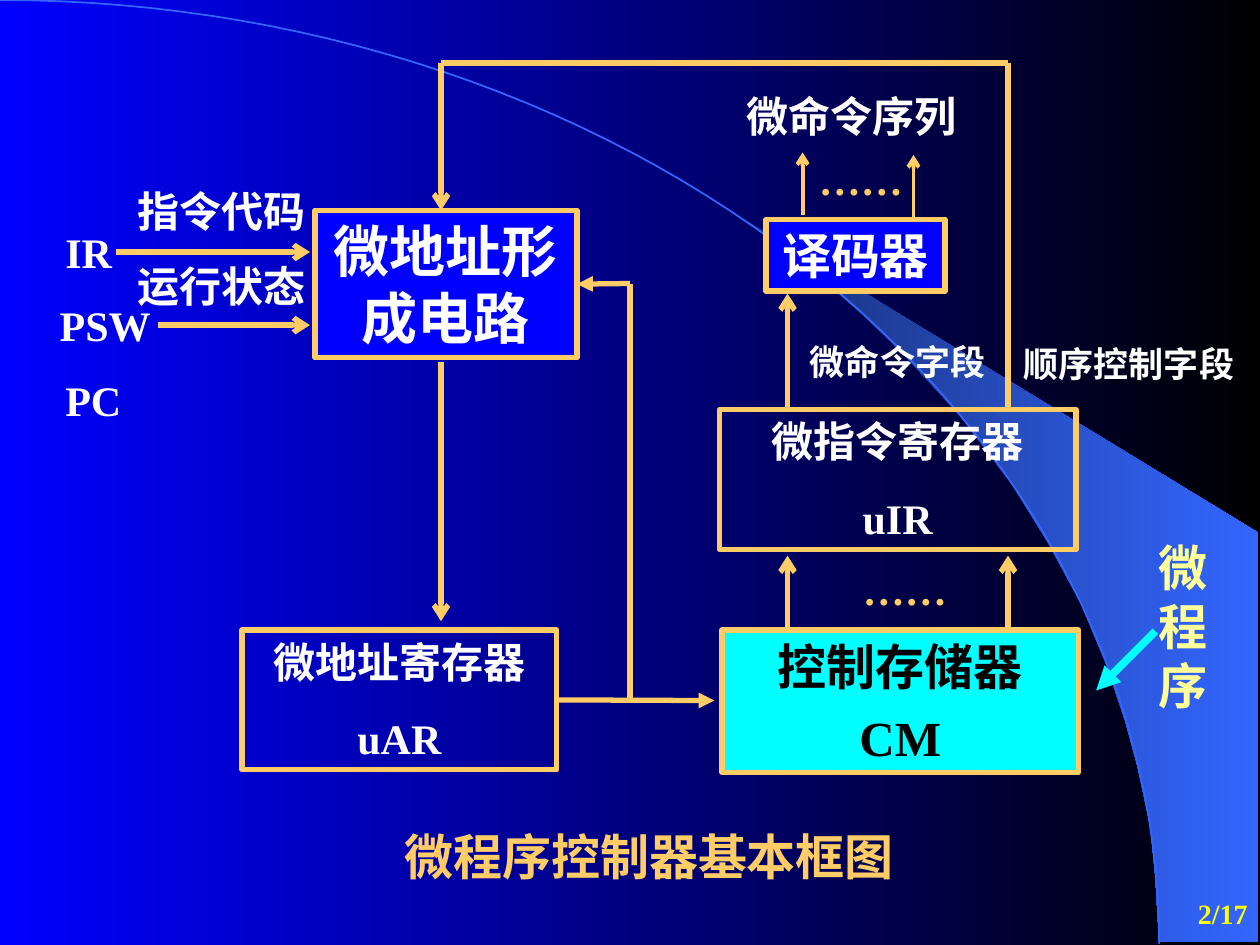
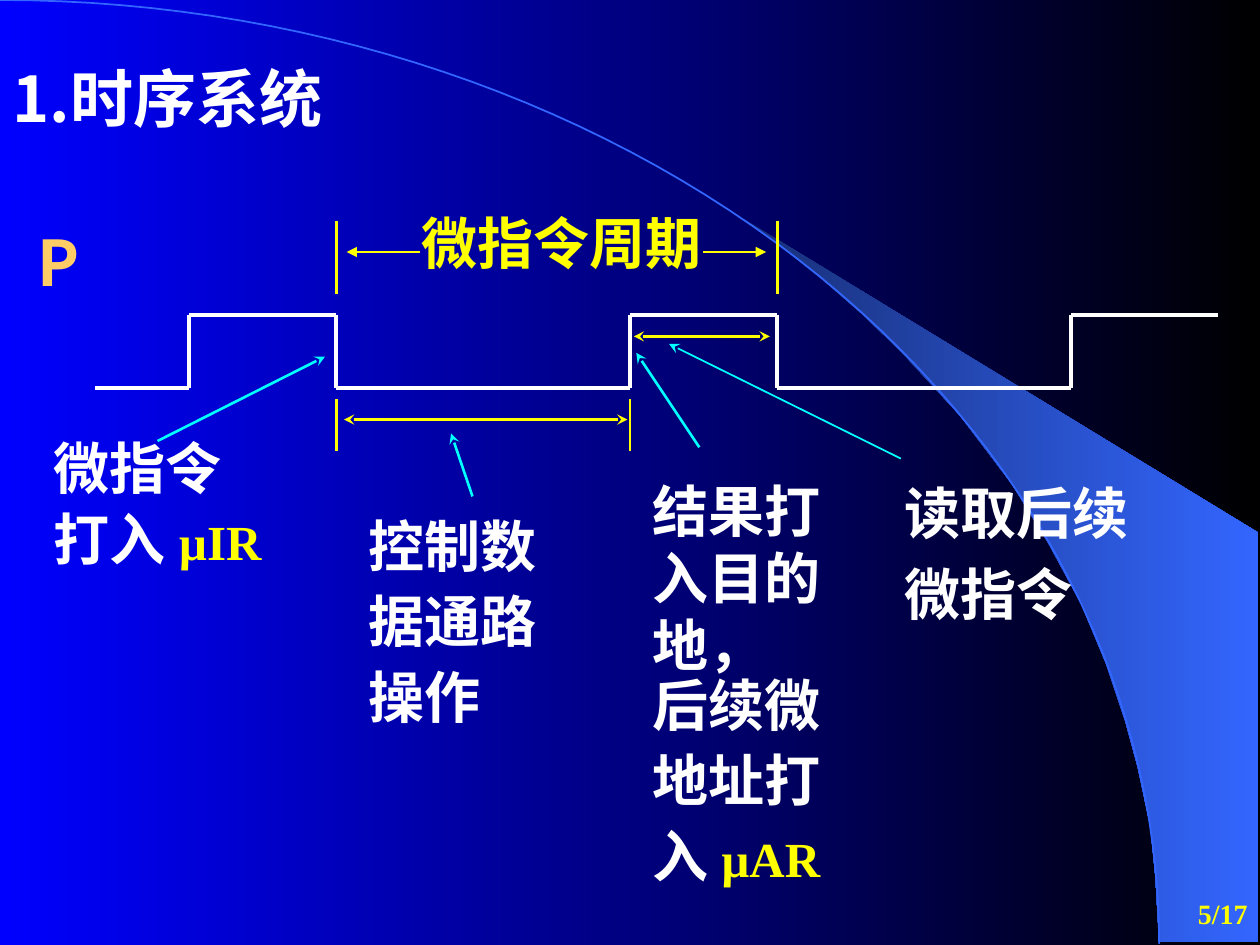
from dataclasses import dataclass
from math import cos, pi, sin

from lxml.etree import SubElement
from pptx import Presentation
from pptx.dml.color import RGBColor
from pptx.enum.shapes import MSO_CONNECTOR, MSO_SHAPE
from pptx.enum.text import MSO_ANCHOR, MSO_AUTO_SIZE, PP_ALIGN
from pptx.oxml.ns import qn
from pptx.util import Inches, Pt


@dataclass(frozen=True)
class Theme:
    blue: str = "0000FF"
    black: str = "000000"
    white: str = "FFFFFF"
    gold: str = "FFCC66"
    yellow: str = "FFFF00"
    pale: str = "FFFF99"
    cyan: str = "00FFFF"
    swoosh: str = "3366FF"
    swoosh_dark: str = "182F76"
    serif: str = "Times New Roman"
    sans: str = "Noto Sans CJK SC"
    footer: int = 16
    field: int = 20
    label: int = 24
    heading: int = 28
    note: int = 32
    title: int = 36


theme = Theme()


def write_text(shape, text, size=theme.label, color=theme.white, font=theme.serif,
               align=PP_ALIGN.LEFT, anchor=MSO_ANCHOR.TOP, before=0, spacing=None, accent=None):
    """Fill a shape with one paragraph per line; accent names a word shown in yellow."""
    frame = shape.text_frame
    frame.word_wrap = True
    frame.auto_size = MSO_AUTO_SIZE.NONE
    frame.vertical_anchor = anchor
    for number, line in enumerate(text.split("\n")):
        para = frame.add_paragraph() if number else frame.paragraphs[0]
        para.alignment = align
        para.space_before = Pt(before)
        para.line_spacing = spacing
        plain, marked, _ = line.partition(accent) if accent else (line, "", "")
        for words, points, ink in ((plain, size, color), (marked, theme.heading, theme.yellow)):
            if words:
                span = para.add_run()
                span.text = words
                span.font.size = Pt(points)
                span.font.bold = True
                span.font.color.rgb = RGBColor.from_string(ink)
                span.font.name = font
                SubElement(span.font._element, qn("a:ea"), typeface=theme.sans)


def draw_line(page, start, end, color=theme.gold, width=3, head=None, tail=None):
    line = page.shapes.add_connector(MSO_CONNECTOR.STRAIGHT, *map(Inches, (*start, *end)))
    line.line.color.rgb = RGBColor.from_string(color)
    line.line.width = Pt(width)
    for tag, arrow in (("a:headEnd", head), ("a:tailEnd", tail)):
        if arrow:
            SubElement(line.get_or_add_ln(), qn(tag), type=arrow)
    SubElement(line.element.spPr, qn("a:effectLst"))
    return line


deck = Presentation()
deck.slide_width, deck.slide_height = Inches(10), Inches(7.5)
master = deck.slide_master
diagram, timing = [deck.slides.add_slide(deck.slide_layouts[5]) for _ in range(2)]

# Shared backdrop: both outlines are drawn on a page, then moved to the master
swoosh_outline = [
    (9.2, 7.48), (9.99, 7.48), (9.99, 4.23), (5.89, 1.73), (6.24, 1.99), (6.53, 2.22),
    (6.85, 2.5), (7.16, 2.8), (7.62, 3.3), (8.03, 3.84), (8.32, 4.31), (8.58, 4.79),
    (8.78, 5.27), (8.93, 5.72), (9.03, 6.09), (9.13, 6.56), (9.17, 6.96)]
steps = 60
arc_outline = [(9.2 * sin(pi / 2 * step / steps), 7.49 * (1 - cos(pi / 2 * step / steps)))
               for step in range(steps + 1)]
backdrop = []
for outline, closed in ((swoosh_outline, True), (arc_outline, False)):
    points = [(Inches(x), Inches(y)) for x, y in outline]
    builder = diagram.shapes.build_freeform(*points[0])
    builder.add_line_segments(points[1:], close=closed)
    shape = builder.convert_to_shape()
    shape.shadow.inherit = False
    master.shapes.element.append(shape.element)
    backdrop.append(shape)
swoosh, arc = backdrop
swoosh.line.fill.background()
arc.fill.background()
arc.line.color.rgb = RGBColor.from_string(theme.swoosh)
arc.line.width = Pt(1)

for fill, colors in ((master.background.fill, (theme.blue, theme.black)),
                     (swoosh.fill, (theme.swoosh_dark, theme.swoosh))):
    fill.gradient()
    fill.gradient_angle = 0
    for stop, color in zip(fill.gradient_stops, colors):
        stop.color.rgb = RGBColor.from_string(color)

# Titles and page numbers
for page, title, place, look, number in (
        (diagram, "微程序控制器基本框图", (3.11, 6.51, 4.75, 0.57),
         dict(size=theme.heading, color=theme.gold), "2/17"),
        (timing, "1.时序系统", (0, 0.42, 4, 0.7),
         dict(size=theme.title, font=theme.sans), "5/17")):
    heading = page.shapes.title
    heading.left, heading.top, heading.width, heading.height = map(Inches, place)
    write_text(heading, title, **look)
    box = page.shapes.add_textbox(*map(Inches, (7.92, 7, 2.08, 0.5)))
    write_text(box, number, size=theme.footer, color=theme.yellow,
               align=PP_ALIGN.RIGHT, anchor=MSO_ANCHOR.MIDDLE)

# Block diagram
blocks = {}
for name, text, place, fill, look in (
        ("address logic", "微地址形成电路", (2.5, 1.67, 2.08, 1.17), theme.blue,
         dict(size=theme.note)),
        ("uAR", "微地址寄存器\nuAR", (1.92, 5, 2.5, 1.11), None, dict(before=15)),
        ("decoder", "译码器", (6.08, 1.74, 1.42, 0.57), theme.blue, dict(size=theme.heading)),
        ("uIR", "微指令寄存器\nuIR", (5.71, 3.25, 2.83, 1.11), None, dict(before=15)),
        ("CM", "控制存储器\nCM", (5.73, 5, 2.83, 1.13), theme.cyan,
         dict(size=theme.heading, color=theme.black, before=7))):
    block = diagram.shapes.add_shape(MSO_SHAPE.RECTANGLE, *map(Inches, place))
    block.shadow.inherit = False
    block.line.color.rgb = RGBColor.from_string(theme.gold)
    block.line.width = Pt(3)
    if fill:
        block.fill.solid()
        block.fill.fore_color.rgb = RGBColor.from_string(fill)
    else:
        block.fill.background()
    write_text(block, text, align=PP_ALIGN.CENTER, **look)
    blocks[name] = block

for start, end, arrow in (
        ((6.25, 5), (6.25, 4.41), "arrow"),
        ((8, 5), (8, 4.41), "arrow"),
        ((6.25, 3.25), (6.25, 2.33), "arrow"),
        ((8, 3.25), (8, 0.5), None),
        ((8, 0.5), (3.5, 0.5), None),
        ((3.5, 0.5), (3.5, 1.67), "arrow"),
        ((3.5, 2.87), (3.5, 4.93), "arrow"),
        ((5, 2.25), (5, 5.56), None),
        ((0.92, 2), (2.46, 2), "arrow"),
        ((1.25, 2.58), (2.46, 2.58), "arrow")):
    draw_line(diagram, start, end, tail=arrow)
for x, bottom in ((6.37, 1.71), (7.25, 1.73)):
    draw_line(diagram, (x, bottom), (x, bottom - 0.5), width=2.25, tail="arrow")
address_out = draw_line(diagram, (4.42, 5.56), (5.67, 5.56), tail="triangle")
address_out.begin_connect(blocks["uAR"], 3)
feedback = draw_line(diagram, (5, 2.25), (4.58, 2.25), tail="triangle")
feedback.end_connect(blocks["address logic"], 3)

centered = dict(align=PP_ALIGN.CENTER)
for text, place, look in (
        ("顺序控制字段", (8, 2.67, 1.92, 0.44), dict(size=theme.field, **centered)),
        ("微命令字段", (6.33, 2.65, 1.92, 0.44), dict(size=theme.field)),
        ("微命令序列", (5.83, 0.67, 1.92, 0.5), {}),
        ("……", (6.4, 1.17, 0.92, 0.5), dict(color=theme.gold)),
        ("……", (6.75, 4.42, 0.92, 0.5), dict(color=theme.gold)),
        ("IR", (0.42, 1.75, 1, 0.5), {}),
        ("PSW", (0.25, 2.33, 1.17, 0.5), centered),
        ("PC", (0.42, 2.92, 0.92, 0.5), {}),
        ("指令代码", (0.92, 1.42, 1.67, 0.5), centered),
        ("运行状态", (0.92, 2.02, 1.67, 0.5), centered),
        ("微程序", (9.1, 4.22, 0.7, 1.5), dict(size=theme.heading, color=theme.pale))):
    box = diagram.shapes.add_textbox(*map(Inches, place))
    write_text(box, text, **look)
draw_line(diagram, (9.17, 5.01), (8.7, 5.48), color=theme.cyan, width=4.5, tail="triangle")

# Timing chart: the clock level flips at every edge
low, high = 3.08, 2.5
edges = [1.5, 2.67, 5, 6.17, 8.5]
wave, level, other = [(0.75, low)], low, high
for edge in edges:
    wave += [(edge, level), (edge, other)]
    level, other = other, level
wave.append((9.67, level))
for start, end in zip(wave, wave[1:]):
    draw_line(timing, start, end, color=theme.white, width=2.25)

for x, top, bottom in ((2.67, 1.75, 2.33), (6.17, 1.75, 2.33),
                       (2.67, 3.17, 3.58), (5, 3.17, 3.58)):
    draw_line(timing, (x, top), (x, bottom), color=theme.yellow, width=1.5)
for start, end in ((3.33, 2.75), (5.58, 6.08)):
    draw_line(timing, (start, 2), (end, 2), color=theme.yellow, width=1, tail="triangle")
for left, right, y in ((2.73, 4.98, 3.33), (5.03, 6.11, 2.67)):
    draw_line(timing, (left, y), (right, y), color=theme.yellow, width=1.5,
              head="stealth", tail="stealth")
for start, end, width in (((1.25, 3.5), (2.58, 2.83), 1.5), ((3.75, 3.94), (3.58, 3.44), 1.5),
                          ((5.55, 3.55), (5.05, 2.8), 1.5), ((7.15, 3.64), (5.31, 2.73), 1)):
    draw_line(timing, start, end, color=theme.cyan, width=width, tail="stealth")

tight = dict(spacing=0.6, before=20)
for text, place, look in (
        ("P", (0.2, 1.94, 1.17, 0.46),
         dict(size=theme.title, color=theme.gold, font=theme.sans, spacing=0.6)),
        ("微指令周期", (3.25, 1.75, 2.67, 0.85),
         dict(color=theme.yellow, font=theme.sans, spacing=0.7)),
        ("微指令\n打入 µIR", (0.33, 3.58, 2.58, 0.99),
         dict(spacing=0.6, before=17.5, accent="µIR")),
        ("控制数\n据通路\n操作", (2.83, 4.2, 2.58, 1.62), tight),
        ("结果打\n入目的\n地，", (5.08, 3.73, 2.58, 1.7), {}),
        ("读取后续\n微指令", (7.08, 3.75, 2.58, 1.28), dict(before=8)),
        ("后续微\n地址打\n入 µAR", (5.08, 5.46, 2.58, 1.58), dict(accent="µAR", **tight))):
    box = timing.shapes.add_textbox(*map(Inches, place))
    write_text(box, text, **{"size": theme.note, **look})

deck.save("out.pptx")
